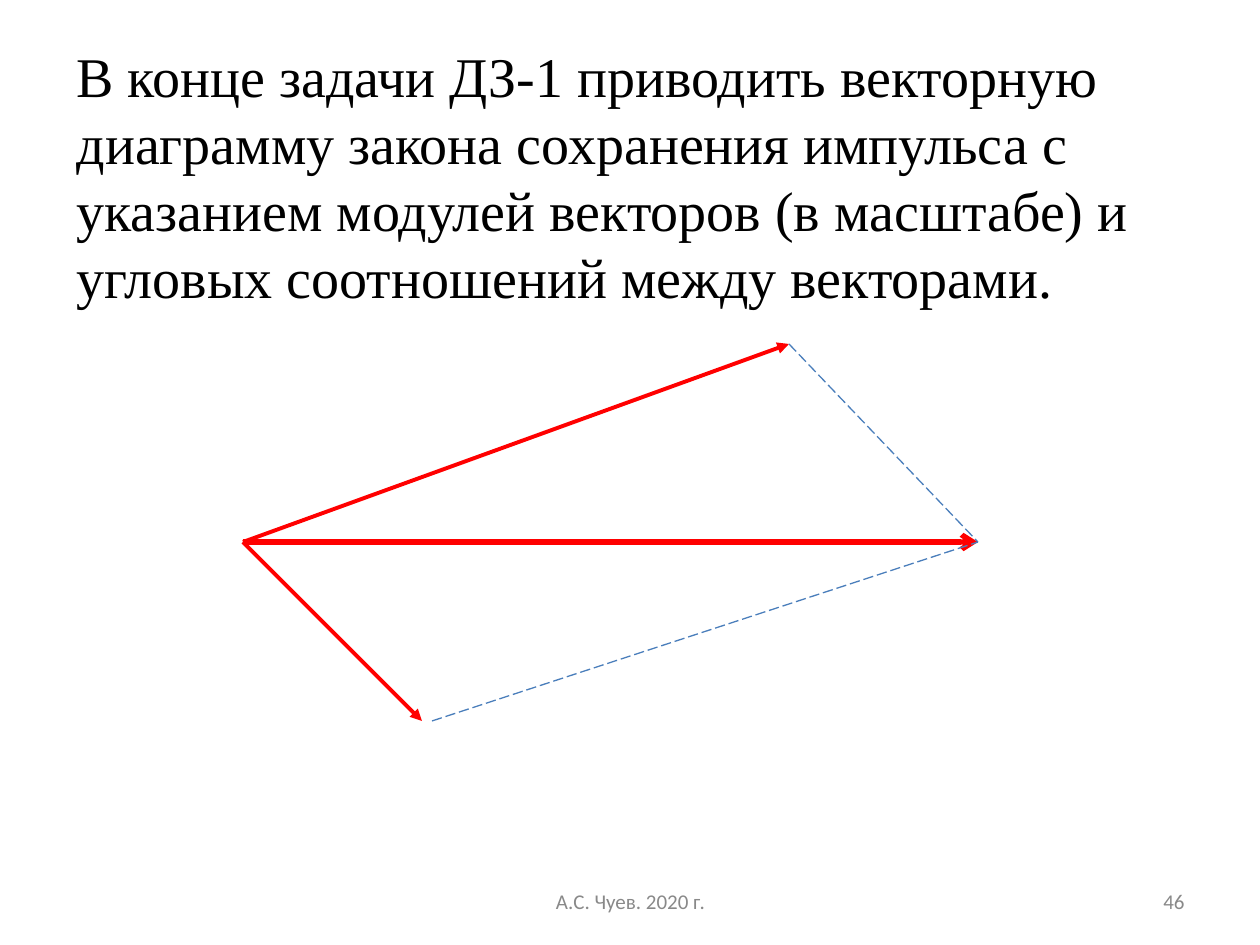
import pptx
import pptx.util
import pptx.dml.color
import pptx.enum.dml
import pptx.enum.shapes
import pptx.enum.text
import pptx.oxml.ns
import lxml.etree

PX_PER_INCH = 126
EMU_PER_PX = 914400 / PX_PER_INCH

BLACK = pptx.dml.color.RGBColor(0x00, 0x00, 0x00)
GREY = pptx.dml.color.RGBColor(0x89, 0x89, 0x89)
RED = pptx.dml.color.RGBColor(0xFF, 0x00, 0x00)
BLUE = pptx.dml.color.RGBColor(0x4A, 0x7E, 0xBB)

ALIGN = pptx.enum.text.PP_ALIGN
ANCHOR = pptx.enum.text.MSO_ANCHOR

TASK = ("В конце задачи ДЗ-1 приводить векторную диаграмму закона сохранения "
        "импульса с указанием модулей векторов (в масштабе) и угловых "
        "соотношений между векторами.")
TASK_BOX = (64, 35, 1122, 282)

# text, (left, top, width, height), alignment
FOOTERS = [
    ("46", (903, 876, 294, 50), ALIGN.RIGHT),
    ("А.С. Чуев. 2020 г.", (431, 876, 399, 50), ALIGN.CENTER),
]

ORIGIN = (243, 542)
SUM_TIP = (978, 542)
UPPER_TIP = (789, 344)
LOWER_TIP = (422, 721)
LOWER_SIDE_START = (432, 721)

# start, end, width in points, arrowhead
VECTORS = [
    (ORIGIN, SUM_TIP, 3, "arrow"),
    (ORIGIN, LOWER_TIP, 2.25, "triangle"),
    (ORIGIN, UPPER_TIP, 2.25, "triangle"),
]
PARALLEL_SIDES = [(UPPER_TIP, SUM_TIP), (LOWER_SIDE_START, SUM_TIP)]


def px(*lengths):
    return [pptx.util.Emu(round(length * EMU_PER_PX)) for length in lengths]


def write(shape, text, font, size, color, align, anchor):
    frame = shape.text_frame
    frame.word_wrap = True
    frame.auto_size = pptx.enum.text.MSO_AUTO_SIZE.NONE
    frame.vertical_anchor = anchor
    paragraph = frame.paragraphs[0]
    paragraph.alignment = align
    run = paragraph.add_run()
    run.text = text
    run.font.name = font
    run.font.size = pptx.util.Pt(size)
    run.font.color.rgb = color


def add_line(slide, start, end, color, width):
    line = slide.shapes.add_connector(
        pptx.enum.shapes.MSO_CONNECTOR.STRAIGHT, *px(*start, *end))
    line.line.color.rgb = color
    line.line.width = pptx.util.Pt(width)
    lxml.etree.SubElement(line._element.spPr, pptx.oxml.ns.qn("a:effectLst"))
    return line


def add_arrowhead(line, kind):
    lxml.etree.SubElement(line.line._get_or_add_ln(),
                          pptx.oxml.ns.qn("a:tailEnd"), type=kind)


def main():
    deck = pptx.Presentation()
    deck.slide_width, deck.slide_height = px(10 * PX_PER_INCH, 7.5 * PX_PER_INCH)
    slide = deck.slides.add_slide(deck.slide_layouts.get_by_name("Title Only"))

    task = slide.shapes.title
    task.left, task.top, task.width, task.height = px(*TASK_BOX)
    write(task, TASK, "Times New Roman", 32, BLACK, ALIGN.LEFT, ANCHOR.TOP)

    for start, end, width, head in VECTORS:
        add_arrowhead(add_line(slide, start, end, RED, width), head)
    for start, end in PARALLEL_SIDES:
        side = add_line(slide, start, end, BLUE, 0.75)
        side.line.dash_style = pptx.enum.dml.MSO_LINE.LONG_DASH

    for text, box, align in FOOTERS:
        footer = slide.shapes.add_textbox(*px(*box))
        write(footer, text, "Calibri", 12, GREY, align, ANCHOR.MIDDLE)

    deck.save("out.pptx")


if __name__ == "__main__":
    main()
